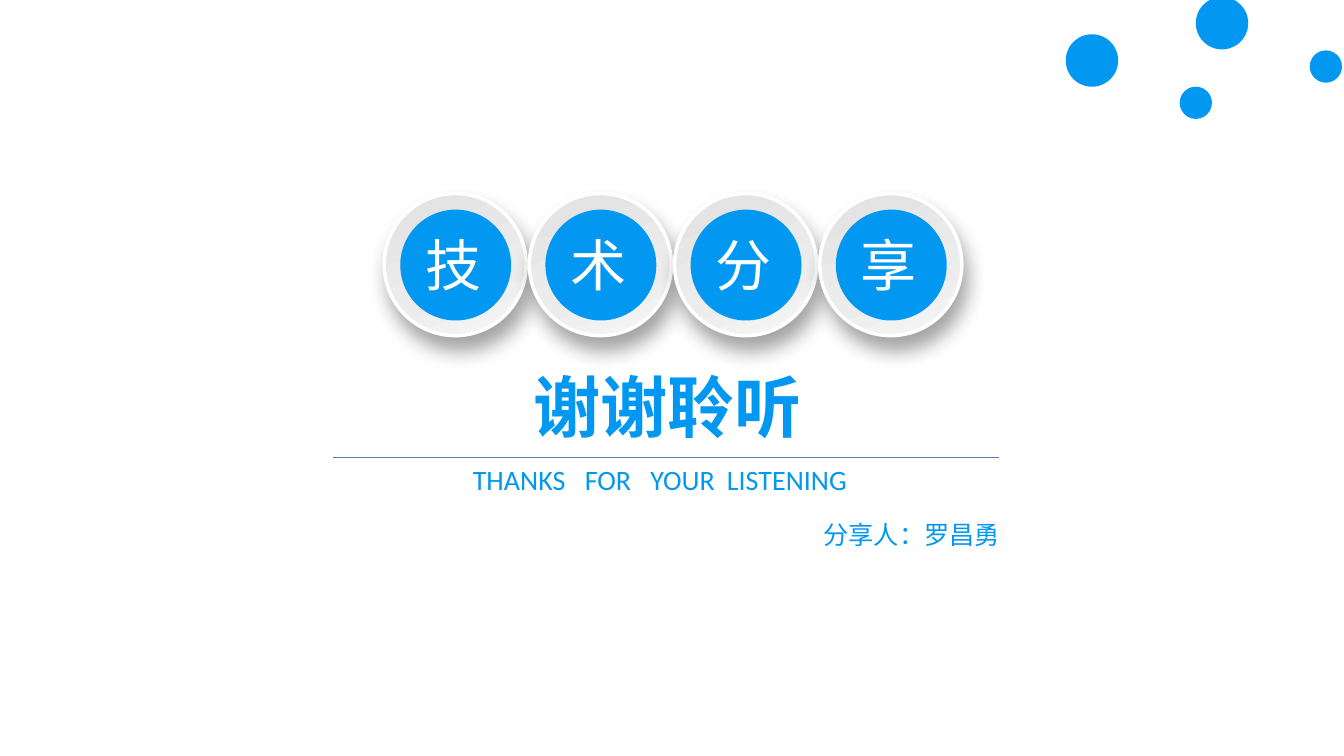
import math

from lxml import etree
from pptx import Presentation
from pptx.dml.color import RGBColor
from pptx.enum import shapes
from pptx.oxml import parse_xml
from pptx.oxml.ns import qn
from pptx.util import Inches, Pt

BLUE = RGBColor(0x02, 0x97, 0xF0)
WHITE = RGBColor(0xFF, 0xFF, 0xFF)
RULE = RGBColor(0x4B, 0x7E, 0xBC)
CJK, LATIN = "Noto Sans CJK SC", "Calibri"
OVAL, DONUT = shapes.MSO_SHAPE.OVAL, shapes.MSO_SHAPE.DONUT
DRAWING = 'xmlns:a="http://schemas.openxmlformats.org/drawingml/2006/main"'
RING_FILL = f"""<a:gradFill {DRAWING} rotWithShape="1"><a:gsLst>
<a:gs pos="0"><a:srgbClr val="E2E2E2"/></a:gs>
<a:gs pos="63000"><a:srgbClr val="ECECEC"/></a:gs>
<a:gs pos="100000"><a:srgbClr val="F7F7F7"/></a:gs>
</a:gsLst><a:lin ang="4200000" scaled="0"/></a:gradFill>"""
RING_SHADOW = f"""<a:effectLst {DRAWING}>
<a:outerShdw blurRad="{Pt(14)}" dist="{Pt(10)}" dir="4200000" algn="t" rotWithShape="0">
<a:srgbClr val="1A1A1A"><a:alpha val="40000"/></a:srgbClr></a:outerShdw></a:effectLst>"""


def add_round(parent, kind, left, top, size, color=BLUE):
    """Add a borderless round shape."""
    shape = parent.shapes.add_shape(
        kind, Inches(left), Inches(top), Inches(size), Inches(size))
    shape.shadow.inherit = False
    shape.fill.solid()
    shape.fill.fore_color.rgb = color
    shape.line.fill.background()
    return shape


def add_text(parent, left, top, width, height, words, font=CJK, **style):
    """Add a single-line text box and return it with its paragraph."""
    box = parent.shapes.add_textbox(
        Inches(left), Inches(top), Inches(width), Inches(height))
    box.text_frame.word_wrap = True
    para = box.text_frame.paragraphs[0]
    span = para.add_run()
    span.text = words
    span.font.color.rgb = style.pop("color", BLUE)
    for name, value in {"name": font, **style}.items():
        setattr(span.font, name, value)
    east_asian = etree.SubElement(span.font._element, qn("a:ea"))
    east_asian.set("typeface", font)
    return box, para


def draw_badge(page, left, top, letter):
    """Raised grey ring with a blue disc and one character."""
    group = page.shapes.add_group_shape()
    ring = add_round(group, OVAL, left, top, 1.41)
    ring.line.color.rgb = WHITE
    ring.line.width = Pt(2.5)
    properties = ring._element.spPr
    properties.replace(properties.find(qn("a:solidFill")), parse_xml(RING_FILL))
    properties.replace(properties.find(qn("a:effectLst")), parse_xml(RING_SHADOW))
    add_round(group, OVAL, left + 0.16, top + 0.16, 1.1)
    add_text(group, left + 0.31, top + 0.32, 0.73, 0.77, letter,
             size=Pt(40), color=WHITE)


def draw_dot(page, left, top, size):
    """Blue dot with a thin rim."""
    group = page.shapes.add_group_shape()
    rim = add_round(group, DONUT, left, top, size)
    rim.adjustments[0] = 0.049
    add_round(group, OVAL, left + 0.01, top + 0.01, size - 0.02)


def arc(center_x, center_y, radius, start, end, steps=12):
    """Points along an arc; angles run clockwise in degrees from the right."""
    angles = [math.radians(start + (end - start) * i / steps)
              for i in range(steps + 1)]
    return [(center_x + radius * math.cos(a), center_y + radius * math.sin(a))
            for a in angles]


def draw_microphone(page, left, top):
    """Outline microphone, 0.2 by 0.4 inches."""
    body = [(0.05, 0.15), (0.15, 0.15)] + arc(0.1, 0.22, 0.05, 0, 180)
    head = arc(0.1, 0.05, 0.05, 180, 360) + [(0.15, 0.13), (0.05, 0.13)]
    stand = (
        arc(0.02, 0.15, 0.02, 180, 360)          # left arm tip
        + arc(0.1, 0.22, 0.07, 180, 0)           # inner cradle
        + arc(0.18, 0.15, 0.02, 180, 360)        # right arm tip
        + arc(0.1, 0.22, 0.1, 0, 80)             # outer cradle, right
        + [(0.12, 0.37)]
        + arc(0.18, 0.39, 0.02, -90, 90)         # base
        + arc(0.02, 0.39, 0.02, 90, 270)
        + [(0.08, 0.37)]
        + arc(0.1, 0.22, 0.1, 100, 180))         # outer cradle, left
    builder = page.shapes.build_freeform(*body[0], scale=Inches(1))
    builder.add_line_segments(body[1:], close=True)
    for contour in (stand, head):
        builder.move_to(*contour[0])
        builder.add_line_segments(contour[1:], close=True)
    icon = builder.convert_to_shape(Inches(left), Inches(top))
    icon.shadow.inherit = False
    icon.fill.solid()
    icon.fill.fore_color.rgb = WHITE
    icon.line.color.rgb = BLUE
    icon.line.width = Pt(0.75)


def draw_rule(page, left, top, width):
    """Thin horizontal divider."""
    rule = page.shapes.add_connector(
        shapes.MSO_CONNECTOR.STRAIGHT, Inches(left), Inches(top),
        Inches(left + width), Inches(top))
    rule.line.color.rgb = RULE
    rule.line.width = Pt(0.75)
    etree.SubElement(rule._element.spPr, qn("a:effectLst"))


def draw_subtitle(page, left, top):
    """English thanks, its words spaced by tab stops."""
    box, para = add_text(page, left, top, 5.19, 0.44,
                         "THANKS\tFOR\tYOUR\tLISTENING", LATIN, size=Pt(20))
    box.text_frame.margin_left = Inches(0.71)
    stops = etree.SubElement(para._p.get_or_add_pPr(), qn("a:tabLst"))
    for position in (1.11, 1.76, 2.52):
        etree.SubElement(stops, qn("a:tab"), pos=str(Inches(position)), algn="l")


def draw_closing(page, left, top):
    """Title, badges, divider, subtitle and presenter."""
    add_text(page, left + 1.89, top + 1.65, 2.95, 0.91, "谢谢聆听",
             size=Pt(48), bold=True)
    for index, letter in enumerate("技术分享"):
        draw_badge(page, left + 0.51 + 1.44 * index, top, letter)
    draw_rule(page, left, top + 2.62, 6.61)
    draw_subtitle(page, left + 0.68, top + 2.62)
    add_text(page, left + 4.77, top + 3.18, 2.04, 0.4, "分享人：罗昌勇", size=Pt(18))
    draw_microphone(page, left + 4.55, top + 3.15)


def draw_corner_dots(page, left, top):
    """Scattered dots in the top right corner."""
    for x, y, size in ((0, 0.37, 0.52), (1.13, 0.89, 0.32),
                       (1.29, 0, 0.52), (2.42, 0.53, 0.32)):
        draw_dot(page, left + x, top + y, size)


def main():
    deck = Presentation()
    deck.slide_width, deck.slide_height = Inches(13.33), Inches(7.5)
    page = deck.slides.add_slide(deck.slide_layouts[6])
    draw_closing(page, 3.3, 1.92)
    draw_corner_dots(page, 10.57, -0.03)
    deck.save("out.pptx")


if __name__ == "__main__":
    main()
